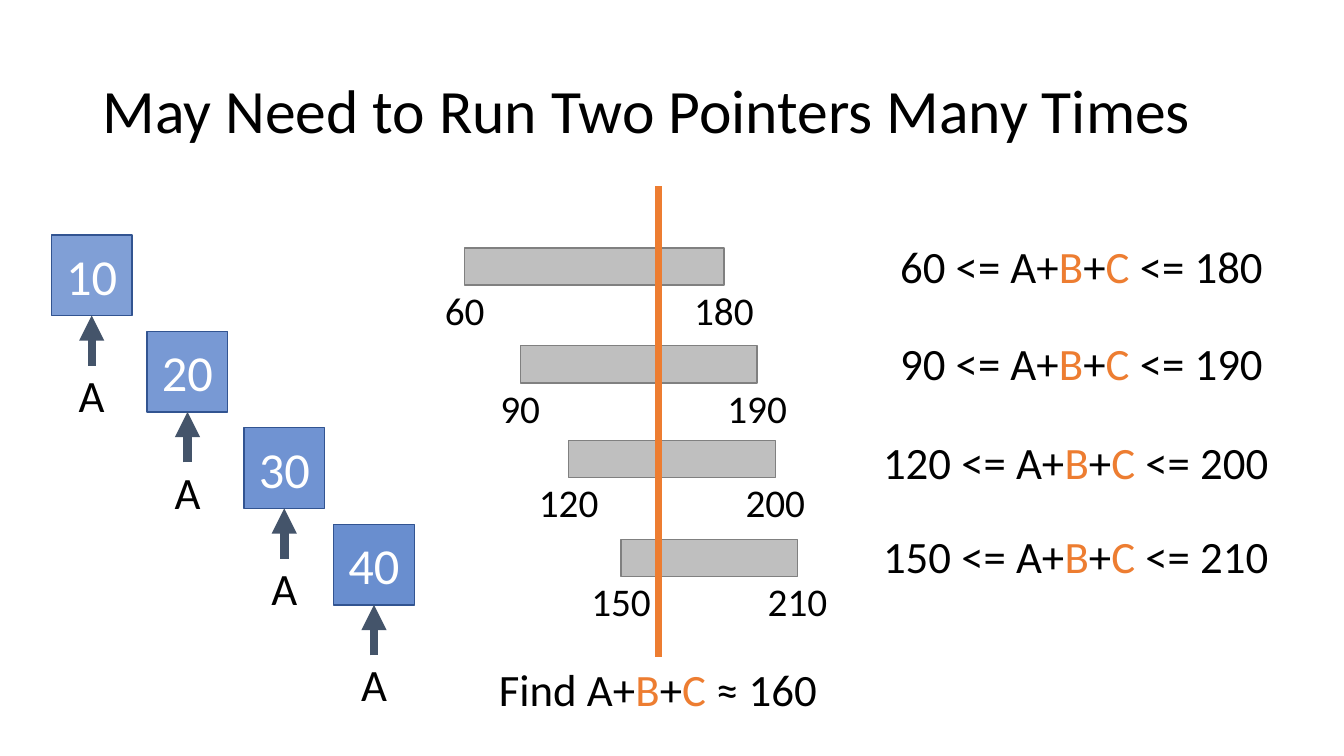
from lxml import etree
from pptx import Presentation
from pptx.dml.color import RGBColor
from pptx.enum import shapes, text
from pptx.oxml import ns
from pptx.util import Inches, Pt

COLORS = {
    "ink": "000000", "white": "FFFFFF", "accent": "ED7D31",
    "square": "4472C4", "square_edge": "325491", "arrow": "44546A",
    "bar": "BFBFBF", "bar_edge": "808080",
}
FONT = "Calibri"
SQUARE_SIDE = 0.8
BAR_HEIGHT = 0.37

# Value of A, left edge of its square, opacity of its fill in percent
SQUARES = [("10", 0.51, 68), ("20", 1.46, 72), ("30", 2.42, 76), ("40", 3.31, 80)]
SQUARES_TOP, SQUARES_STEP = 2.33, 0.957

# Lowest and highest sum, left and right edge, top of the bar
BARS = [
    ("60", "180", 4.61, 7.18, 2.46),
    ("90", "190", 5.16, 7.51, 3.43),
    ("120", "200", 5.64, 7.69, 4.37),
    ("150", "210", 6.16, 7.91, 5.35),
]

# Left, top and width of the inequality beside each bar
INEQUALITIES = [(8.83, 2.32, 3.84), (8.83, 3.28, 3.84),
                (8.66, 4.26, 4.07), (8.66, 5.2, 4.07)]


def rgb(name):
    return RGBColor.from_string(COLORS[name])


def add_runs(paragraph, parts, size):
    for wording, color in parts:
        run = paragraph.add_run()
        run.text = wording
        run.font.name = FONT
        run.font.size = Pt(size)
        run.font.color.rgb = rgb(color)


def add_label(slide, box, parts, size, align=text.PP_ALIGN.CENTER):
    label = slide.shapes.add_textbox(*map(Inches, box))
    label.text_frame.word_wrap = False
    label.text_frame.auto_size = text.MSO_AUTO_SIZE.SHAPE_TO_FIT_TEXT
    paragraph = label.text_frame.paragraphs[0]
    paragraph.alignment = align
    add_runs(paragraph, parts, size)


def add_rect(slide, box, fill, edge):
    rect = slide.shapes.add_shape(shapes.MSO_SHAPE.RECTANGLE, *map(Inches, box))
    rect.shadow.inherit = False
    rect.fill.solid()
    rect.fill.fore_color.rgb = rgb(fill)
    rect.line.color.rgb = rgb(edge)
    rect.line.width = Pt(1)
    return rect


def add_line(slide, start, end, color, width, arrow=False):
    line = slide.shapes.add_connector(
        shapes.MSO_CONNECTOR.STRAIGHT, *map(Inches, start + end))
    line.line.color.rgb = rgb(color)
    line.line.width = Pt(width)
    if arrow:
        etree.SubElement(line.line._get_or_add_ln(), ns.qn("a:tailEnd"), type="triangle")
    etree.SubElement(line._element.spPr, ns.qn("a:effectLst"))


def sum_parts(before, after):
    """A+B+C with B and C accented, between two pieces of wording."""
    return [(before + "A+", "ink"), ("B", "accent"), ("+", "ink"),
            ("C", "accent"), (after, "ink")]


def add_title(slide, box):
    title = slide.shapes.add_textbox(*map(Inches, box))
    title.text_frame.word_wrap = True
    title.text_frame.vertical_anchor = text.MSO_ANCHOR.MIDDLE
    heading = title.text_frame.paragraphs[0]
    heading.line_spacing = 0.9
    add_runs(heading, [("May Need to Run Two Pointers Many Times", "ink")], 44)


def add_pointed_square(slide, left, top, value, opacity):
    # Square with its value
    square = add_rect(slide, (left, top, SQUARE_SIDE, SQUARE_SIDE), "square", "square_edge")
    tint = square.fill._xPr.find(".//" + ns.qn("a:srgbClr"))
    etree.SubElement(tint, ns.qn("a:alpha"), val=str(opacity * 1000))
    square.text_frame.vertical_anchor = text.MSO_ANCHOR.MIDDLE
    paragraph = square.text_frame.paragraphs[0]
    paragraph.alignment = text.PP_ALIGN.CENTER
    add_runs(paragraph, [(value, "white")], 36)

    # Pointer A below it
    center, bottom = left + SQUARE_SIDE / 2, top + SQUARE_SIDE
    add_line(slide, (center, bottom + 0.5), (center, bottom), "arrow", 6, arrow=True)
    add_label(slide, (center - 0.23, bottom + 0.47, 0.46, 0.64), [("A", "ink")], 32)


def add_range_bar(slide, left, right, top, low, high):
    add_rect(slide, (left, top, right - left, BAR_HEIGHT), "bar", "bar_edge")
    for bound, edge in ((low, left), (high, right)):
        width = 0.2 + 0.2 * len(bound)
        add_label(slide, (edge - width / 2, top + 0.33, width, 0.57), [(bound, "ink")], 28)


def add_target(slide, x, top, bottom):
    add_line(slide, (x, top), (x, bottom), "accent", 4.5)
    add_label(slide, (x - 1.7, bottom, 3.39, 0.64), sum_parts("Find ", " ≈ 160"), 32)


def main():
    deck = Presentation()
    deck.slide_width, deck.slide_height = Inches(13.33), Inches(7.5)
    slide = deck.slides.add_slide(deck.slide_layouts[6])

    add_title(slide, (0.92, 0.4, 11.5, 1.45))

    # Choices of A, stepping down to the right
    for step, (value, left, opacity) in enumerate(SQUARES):
        add_pointed_square(slide, left, SQUARES_TOP + step * SQUARES_STEP, value, opacity)

    # Range of sums for each choice, as a bar and as an inequality
    for (low, high, left, right, top), place in zip(BARS, INEQUALITIES):
        add_range_bar(slide, left, right, top, low, high)
        add_label(slide, place + (0.64,), sum_parts(f"{low} <= ", f" <= {high}"),
                  32, text.PP_ALIGN.LEFT)

    # Target sum crossing the bars
    add_target(slide, 6.53, 1.85, 6.52)

    deck.save("out.pptx")


if __name__ == "__main__":
    main()
